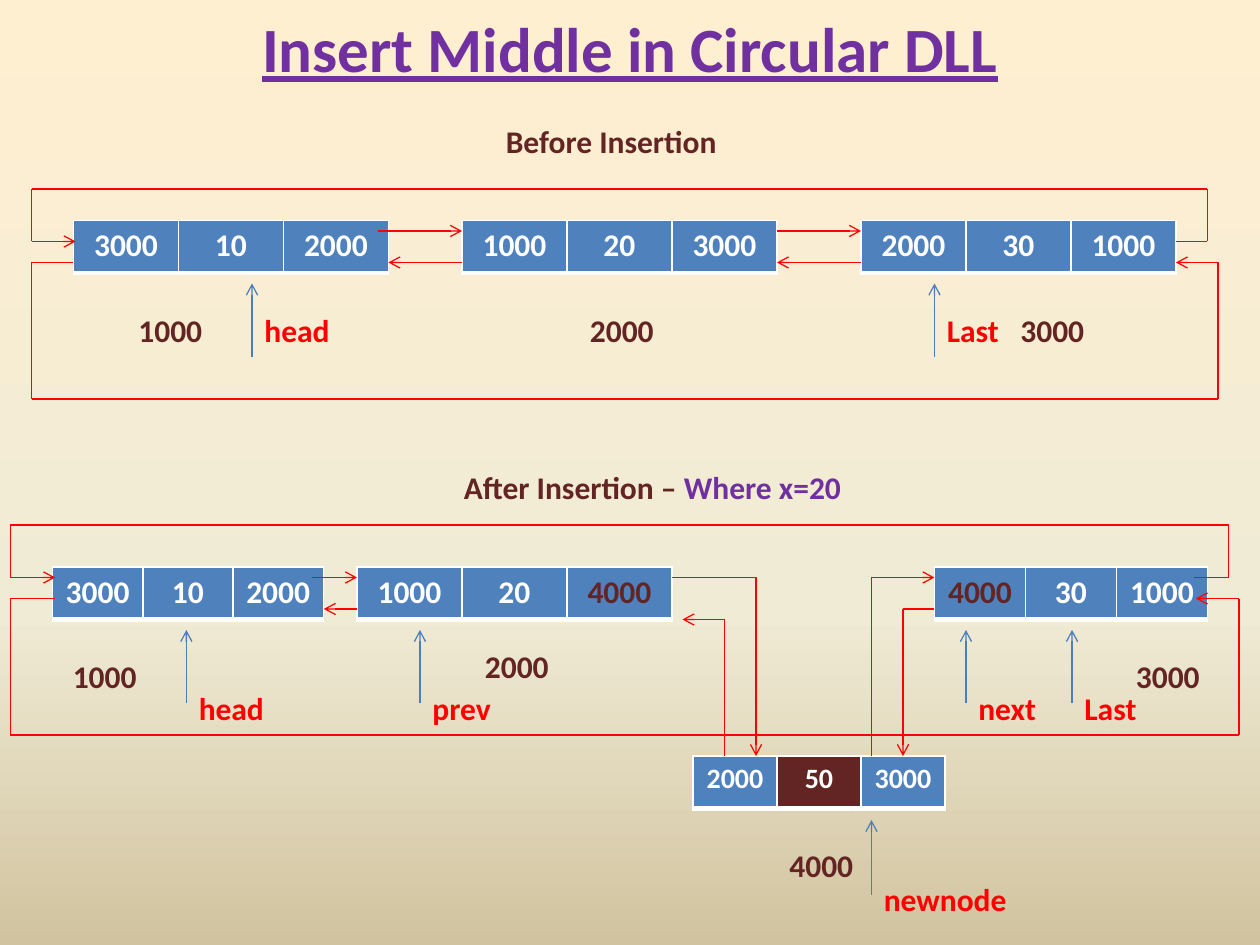
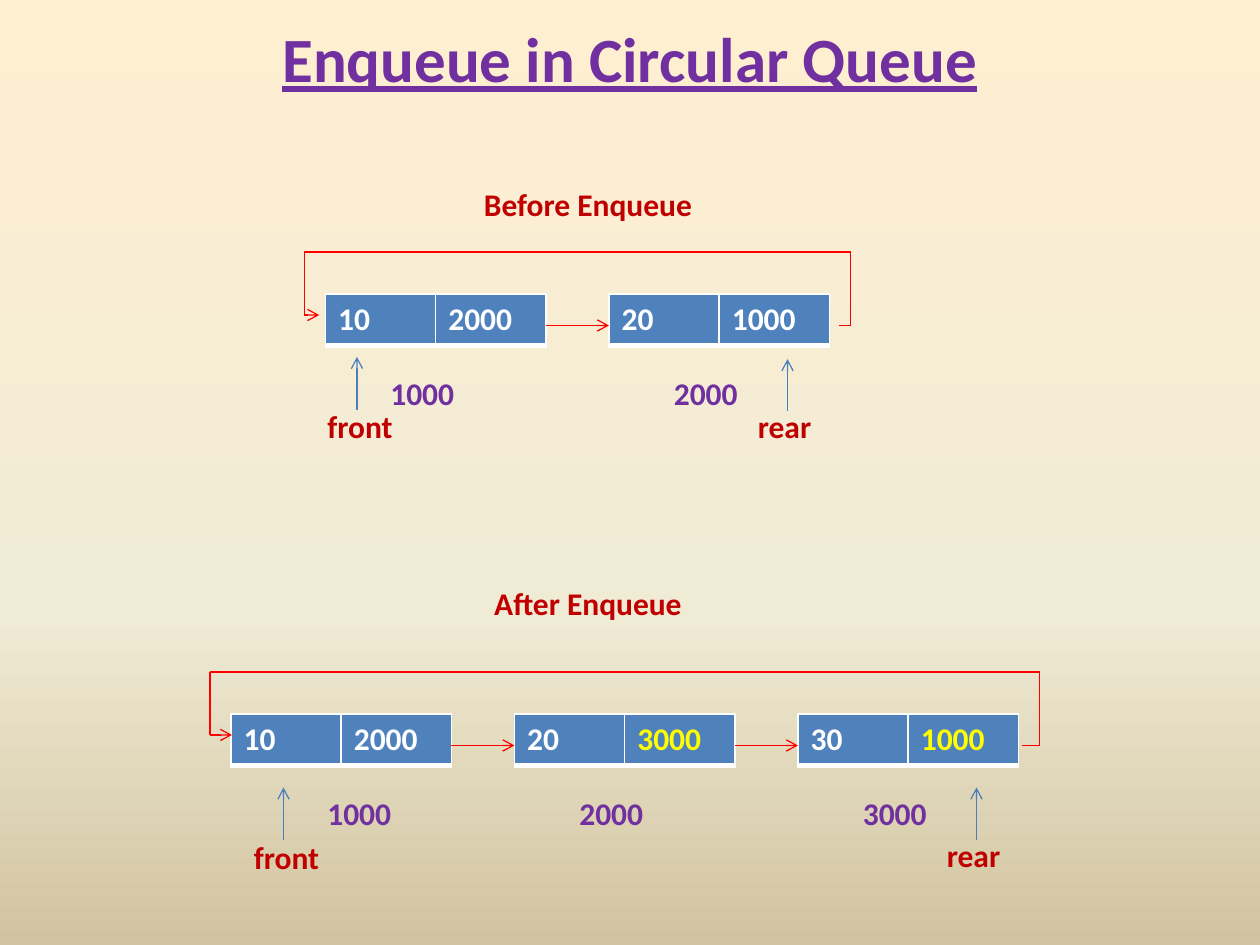
from copy import deepcopy
from pptx import Presentation, util as u
from pptx.dml import color
from pptx.enum import shapes, text
from pptx.oxml import ns, parse_xml

PURPLE, BROWN, RED, DARK_RED = "7030A0", "632523", "FF0000", "C00000"
BLUE, POINTER_BLUE, WHITE, YELLOW = "4F81BD", "4B7EBC", "FFFFFF", "FFFF00"
BACKGROUND = [(0, "FFEFD1"), (0.65, "F0EBD5"), (1, "D1C39F")]
FONT = "Calibri"
LEFT, CENTER = text.PP_ALIGN.LEFT, text.PP_ALIGN.CENTER
rgb = color.RGBColor.from_string

presentation = Presentation()
presentation.slide_width, presentation.slide_height = u.Inches(10), u.Inches(7.5)
# All places are in columns and rows of a 120 x 90 grid
CELL = presentation.slide_width / 120


def add_label(slide, left, top, width, runs, align=LEFT):
    box = slide.shapes.add_textbox(*(int(n * CELL) for n in (left, top, width, 4.8)))
    frame = box.text_frame
    frame.word_wrap = True
    frame.auto_size = text.MSO_AUTO_SIZE.SHAPE_TO_FIT_TEXT
    paragraph = frame.paragraphs[0]
    paragraph.alignment = align
    paragraph.font.name, paragraph.font.size, paragraph.font.bold = FONT, u.Pt(18), True
    for words, ink in runs:
        run = paragraph.add_run()
        run.text = words
        run.font.color.rgb = rgb(ink)
    return box


def add_path(slide, points, ink):
    """Straight lines through the points, with an arrowhead at the last one."""
    for start, end in zip(points, points[1:]):
        line = slide.shapes.add_connector(
            shapes.MSO_CONNECTOR.STRAIGHT, *(int(n * CELL) for n in start + end))
        line.line.color.rgb = rgb(ink)
        line.line.width = u.Pt(0.75)
        properties = line._element.spPr
        properties.append(properties.makeelement(ns.qn("a:effectLst"), {}))
    outline = properties.find(ns.qn("a:ln"))
    outline.append(outline.makeelement(ns.qn("a:tailEnd"), {"type": "arrow"}))


# Nodes: left, top, width, values, {cell: (fill, font colour)}
# Pointers: column, from row, to row, name, label left, label top, label width
linked_list = dict(
    title="Insert Middle in Circular DLL", title_top=-3,
    node_height=5, align=CENTER, address_ink=BROWN, address_width=10, name_ink=RED,
    headings=[
        (47, 11, 26, [("Before Insertion", BROWN)], LEFT),
        (43, 44, 42, [("After Insertion –", BROWN), (" Where x=20", PURPLE)], LEFT)],
    nodes=[
        (7, 21, 30, "3000 10 2000", 18, {}),
        (44, 21, 30, "1000 20 3000", 18, {}),
        (82, 21, 30, "2000 30 1000", 18, {}),
        (5, 54, 25.8, "3000 10 2000", 18, {}),
        (34, 54, 30, "1000 20 4000", 18, {2: (BLUE, BROWN)}),
        (89, 54, 26, "4000 30 1000", 18, {0: (BLUE, BROWN)}),
        (66, 72, 24, "2000 50 3000", 16, {1: (BROWN, WHITE)})],
    links=[
        # Before: neighbours, then the two loops
        [(36, 22), (44, 22)], [(74, 22), (82, 22)],
        [(44, 25), (37, 25)], [(82, 25), (74, 25)],
        [(112, 23), (115, 23), (115, 18), (3, 18), (3, 23), (7.2, 23)],
        [(7, 25), (3, 25), (3, 38), (116, 38), (116, 25), (112, 25)],
        # After: neighbours, links of the new node, then the two loops
        [(29.75, 55), (34, 55)], [(34, 58), (30.85, 58)],
        [(64, 55), (72, 55), (72, 72)], [(69, 72), (69, 59), (65, 59)],
        [(83, 72), (83, 55), (89, 55)], [(89, 58), (86, 58), (86, 72)],
        [(113.75, 55), (117, 55), (117, 50), (1, 50), (1, 55), (5.25, 55)],
        [(5.2, 57), (1, 57), (1, 70), (118, 70), (118, 57), (113.9, 57)]],
    addresses=[
        (12, 29, "1000"), (55, 29, "2000"), (96, 29, "3000"),
        (5.75, 62, "1000"), (45, 61, "2000"), (107, 62, "3000"), (74, 80, "4000")],
    pointers=[
        (24, 34, 27, "head", 24, 29, 10), (89, 34, 27, "Last", 89, 29, 10),
        (17.75, 67, 60, "head", 17.75, 65, 10), (40, 67, 60, "prev", 40, 65, 10),
        (92, 67, 60, "next", 92, 65, 10), (102.1, 67, 60, "Last", 102.1, 65, 10),
        (83, 85.2, 78.1, "newnode", 83, 83.2, 17)])

queue = dict(
    title="Enqueue in Circular Queue", title_top=-2,
    node_height=4.9, align=LEFT, address_ink=PURPLE, address_width=11, name_ink=DARK_RED,
    headings=[
        (36, 17, 40, [("Before Enqueue", DARK_RED)], CENTER),
        (36, 55, 40, [("After Enqueue", DARK_RED)], CENTER)],
    nodes=[
        (31, 28, 21, "10 2000", 18, {}),
        (58, 28, 21, "20 1000", 18, {}),
        (22, 68, 21, "10 2000", 18, {}),
        (49, 68, 21, "20 3000", 18, {1: (BLUE, YELLOW)}),
        (76, 68, 21, "30 1000", 18, {1: (BLUE, YELLOW)})],
    links=[
        [(52, 31), (58, 31)],
        [(79.9, 31), (81, 31), (81, 24), (29, 24), (29, 30), (30.4, 30)],
        [(43, 71), (49, 71)], [(70, 71), (76, 71)],
        [(97.3, 71), (99, 71), (99, 64), (20, 64), (20, 70), (22.1, 70)]],
    addresses=[
        (36, 35, "1000"), (63, 35, "2000"),
        (30, 75, "1000"), (54, 75, "2000"), (81, 75, "3000")],
    pointers=[
        (34, 39, 34, "front", 30, 38.2, 11), (75, 39.1, 34.2, "rear", 71, 38.2, 11),
        (27, 80, 75, "front", 23, 79.2, 11), (93, 80, 75, "rear", 89, 79, 11)])

for diagram in (linked_list, queue):
    slide = presentation.slides.add_slide(presentation.slide_layouts[6])

    # Background gradient
    fill = slide.background.fill
    fill.gradient()
    fill.gradient_angle = 270
    stop_list = slide._element.find(".//" + ns.qn("a:gsLst"))
    stop_list.append(deepcopy(stop_list[-1]))
    for stop, (position, ink) in zip(fill.gradient_stops, BACKGROUND):
        stop.position, stop.color.rgb = position, rgb(ink)

    # Title
    title = add_label(slide, 6, diagram["title_top"], 108,
                      [(diagram["title"], PURPLE)], CENTER)
    title.height = int(15 * CELL)
    title.text_frame.auto_size = text.MSO_AUTO_SIZE.NONE
    title.text_frame.vertical_anchor = text.MSO_ANCHOR.MIDDLE
    title_font = title.text_frame.paragraphs[0].font
    title_font.size, title_font.underline = u.Pt(36), True

    # Headings
    for heading in diagram["headings"]:
        add_label(slide, *heading)

    # Nodes
    for left, top, width, values, size, accents in diagram["nodes"]:
        values = values.split()
        box = (int(n * CELL) for n in (left, top, width, diagram["node_height"]))
        table = slide.shapes.add_table(1, len(values), *box).table
        table.first_row = table.horz_banding = False
        for index, value in enumerate(values):
            back, ink = accents.get(index, (BLUE, WHITE))
            cell = table.cell(0, index)
            cell.text = value
            cell.fill.solid()
            cell.fill.fore_color.rgb = rgb(back)
            paragraph = cell.text_frame.paragraphs[0]
            paragraph.alignment = diagram["align"]
            font = paragraph.font
            font.name, font.size, font.bold = FONT, u.Pt(size), True
            font.color.rgb = rgb(ink)
            for order, (side, points) in enumerate(zip("LRTB", (1, 1, 1, 3))):
                cell._tc.tcPr.insert(order, parse_xml(
                    f'<a:ln{side} {ns.nsdecls("a")} w="{u.Pt(points)}"><a:solidFill>'
                    f'<a:srgbClr val="{WHITE}"/></a:solidFill></a:ln{side}>'))

    # Links between nodes
    for points in diagram["links"]:
        add_path(slide, points, RED)

    # Node addresses
    for left, top, address in diagram["addresses"]:
        add_label(slide, left, top, diagram["address_width"],
                  [(address, diagram["address_ink"])])

    # Named pointers
    for column, start, end, name, left, top, width in diagram["pointers"]:
        add_path(slide, [(column, start), (column, end)], POINTER_BLUE)
        add_label(slide, left, top, width, [(name, diagram["name_ink"])])

presentation.save("out.pptx")
